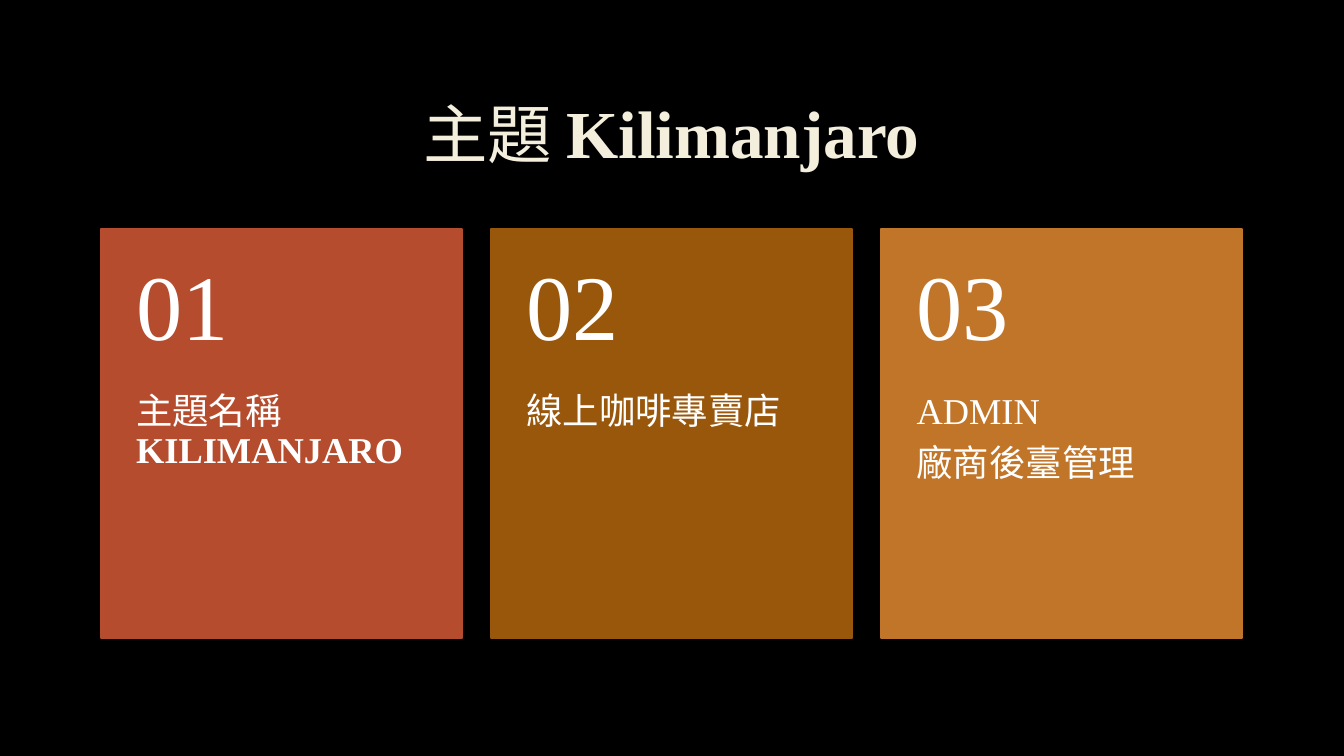
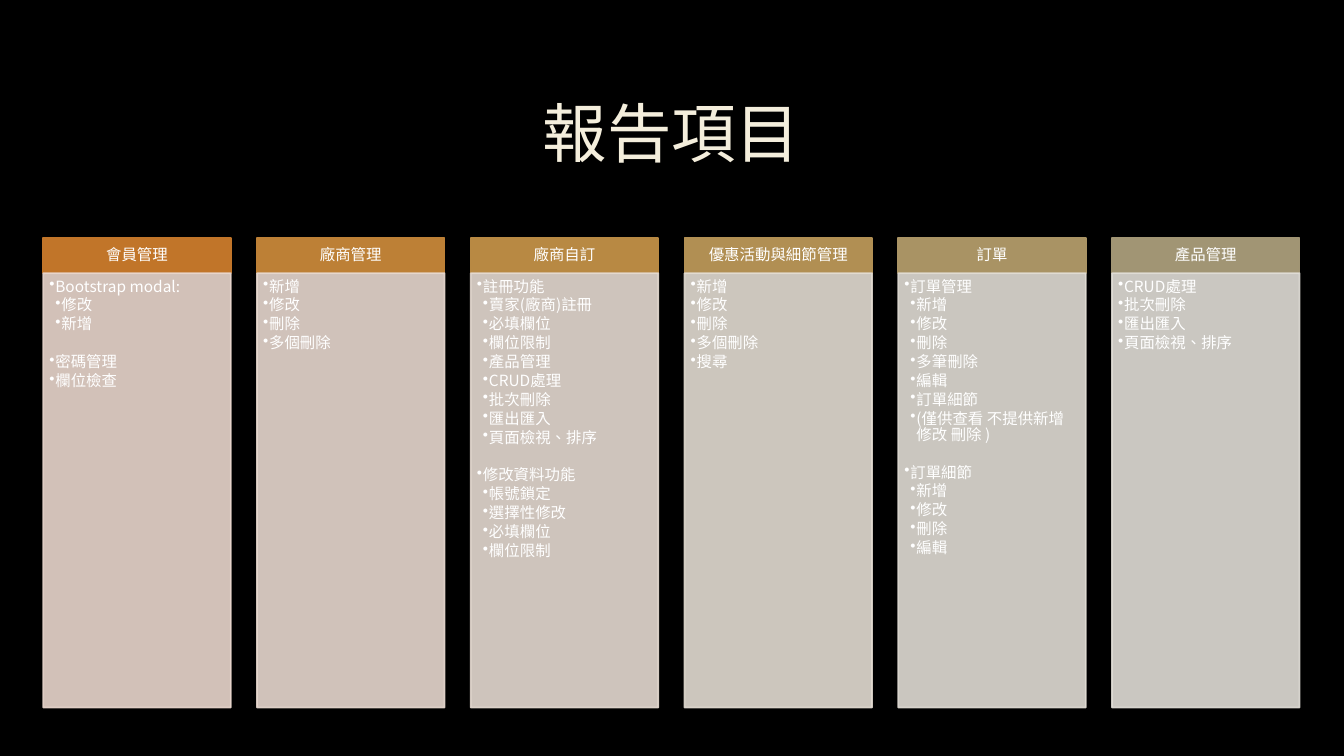
from dataclasses import dataclass

from lxml import etree
from pptx import Presentation
from pptx import util as u
from pptx.dml.color import RGBColor
from pptx.enum import lang, shapes, text
from pptx.oxml import ns


@dataclass(frozen=True)
class Theme:
    background: str = "000000"
    title: str = "F4EEDC"
    body: str = "FFFFFF"
    serif: str = "Times New Roman"
    sans: str = "Noto Sans CJK SC"
    title_size: float = 46
    title_latin_size: float = 48
    number_size: float = 66
    card_size: float = 26
    item_size: float = 11
    item_line: float = 11.4
    item_gap: float = 2.1
    group_gap: float = 15.6
    border: float = 1.25


@dataclass(frozen=True)
class Span:
    text: str
    size: float
    font: str
    color: str
    bold: bool = False


@dataclass(frozen=True)
class Card:
    color: str
    lines: tuple[tuple[Span, ...], ...]


@dataclass(frozen=True)
class Group:
    """Top-level items; each heading may carry nested items."""
    heading: str
    children: tuple[str, ...] = ()
    gap_after: bool = False


@dataclass(frozen=True)
class Column:
    heading: str
    color: str
    tint: str
    groups: tuple[Group, ...]


THEME = Theme()


# Shared text and shape helpers
def title_span(words: str, size: float = THEME.title_size, bold: bool = False) -> Span:
    return Span(words, size, THEME.serif, THEME.title, bold)


def card_span(words: str, size: float = THEME.card_size, bold: bool = False) -> Span:
    return Span(words, size, THEME.serif, THEME.body, bold)


def item_span(words: str) -> Span:
    return Span(words, THEME.item_size, THEME.sans, THEME.body)


def set_frame(box, insets: tuple[float, ...], anchor=text.MSO_ANCHOR.TOP):
    frame = box.text_frame
    frame.word_wrap = True
    frame.vertical_anchor = anchor
    (frame.margin_left, frame.margin_top,
     frame.margin_right, frame.margin_bottom) = map(u.Inches, insets)
    return frame


def add_paragraph(frame, spans: tuple[Span, ...], align=text.PP_ALIGN.LEFT,
                  first: bool = True, after: float = 0, line=0.9):
    para = frame.paragraphs[0] if first else frame.add_paragraph()
    para.alignment = align
    para.line_spacing = line
    para.space_after = u.Pt(after)
    for span in spans:
        run = para.add_run()
        run.text = span.text
        run.font.size = u.Pt(span.size)
        run.font.name = span.font
        run.font.bold = span.bold
        run.font.color.rgb = RGBColor.from_string(span.color)
        run.font.language_id = lang.MSO_LANGUAGE_ID.TRADITIONAL_CHINESE
    return para


def add_text_box(page, left: float, top: float, width: float, height: float):
    return page.shapes.add_textbox(*map(u.Inches, (left, top, width, height)))


def add_panel(page, left: float, top: float, width: float, height: float,
              color: str, opacity: int = 100):
    panel = page.shapes.add_shape(
        shapes.MSO_SHAPE.RECTANGLE, *map(u.Inches, (left, top, width, height)))
    panel.shadow.inherit = False
    panel.line.width = u.Pt(THEME.border)
    for fill in (panel.fill, panel.line.fill):
        fill.solid()
        fill.fore_color.rgb = RGBColor.from_string(color)
    if opacity < 100:
        for tone in panel._element.spPr.iter(ns.qn("a:srgbClr")):
            etree.SubElement(tone, ns.qn("a:alpha"), val=str(opacity * 1000))
    return panel


def add_bullet(para, level: int) -> None:
    para.level = level
    props = para._p.get_or_add_pPr()
    props.set("marL", str(u.Inches(0.06 * level)))
    props.set("indent", str(u.Inches(-0.06)))
    etree.SubElement(props, ns.qn("a:buChar"), char="•")


def add_page(deck, *title: Span):
    page = deck.slides.add_slide(deck.slide_layouts[6])
    frame = set_frame(add_text_box(page, 1, 0.67, 11.32, 1.38),
                      (0.1, 0.05, 0.1, 0.05), text.MSO_ANCHOR.MIDDLE)
    add_paragraph(frame, title, text.PP_ALIGN.CENTER)
    return page


# Numbered topic cards
CARDS = (
    Card("B54C2D", ((card_span("主題名稱 "), card_span("KILIMANJARO", bold=True)),)),
    Card("99570C", ((card_span("線上咖啡專賣店"),),)),
    Card("C17529", ((card_span("ADMIN"),), (card_span("廠商後臺管理"),))),
)


def draw_cards(page) -> None:
    top, width, height, pitch, number_height = 2.27, 3.58, 4.06, 3.87, 1.62
    for index, card in enumerate(CARDS):
        left = 1 + index * pitch
        add_panel(page, left, top, width, height, card.color)
        number = add_text_box(page, left, top, width, number_height)
        frame = set_frame(number, (0.35, 0.18, 0.35, 0.18), text.MSO_ANCHOR.MIDDLE)
        add_paragraph(frame, (card_span(f"{index + 1:02}", THEME.number_size),))
        label = add_text_box(page, left, top + number_height + 0.01, width,
                             height - number_height)
        frame = set_frame(label, (0.35, 0, 0.35, 0.36))
        for row, spans in enumerate(card.lines):
            add_paragraph(frame, spans, first=row == 0, after=9)


# Report columns
COLUMNS = (
    Column("會員管理", "C17529", "E9D6CD", (
        Group("Bootstrap modal:", ("修改", "新增"), gap_after=True),
        Group("密碼管理"), Group("欄位檢查"))),
    Column("廠商管理", "BD8036", "E7D8CF", (
        Group("新增"), Group("修改"), Group("刪除"), Group("多個刪除"))),
    Column("廠商自訂", "B88943", "E5DAD1", (
        Group("註冊功能", ("賣家(廠商)註冊", "必填欄位", "欄位限制", "產品管理",
                       "CRUD處理", "批次刪除", "匯出匯入", "頁面檢視、排序"),
              gap_after=True),
        Group("修改資料功能", ("帳號鎖定", "選擇性修改", "必填欄位", "欄位限制")))),
    Column("優惠活動與細節管理", "B18F53", "E3DCD2", (
        Group("新增"), Group("修改"), Group("刪除"), Group("多個刪除"),
        Group("搜尋"))),
    Column("訂單", "A99364", "E1DCD4", (
        Group("訂單管理", ("新增", "修改", "刪除", "多筆刪除", "編輯", "訂單細節",
                       "(僅供查看 不提供新增 修改 刪除 )"), gap_after=True),
        Group("訂單細節", ("新增", "修改", "刪除", "編輯")))),
    Column("產品管理", "A19574", "E0DDD6", (
        Group("CRUD處理"), Group("批次刪除"), Group("匯出匯入"),
        Group("頁面檢視、排序"))),
)


def draw_items(frame, groups: tuple[Group, ...]) -> None:
    first = True
    for group in groups:
        items = (group.heading, *group.children)
        for row, item in enumerate(items):
            ends_block = group.gap_after and row == len(items) - 1
            para = add_paragraph(
                frame, (item_span(item),), first=first,
                after=THEME.group_gap if ends_block else THEME.item_gap,
                line=u.Pt(THEME.item_line))
            add_bullet(para, 1 if row == 0 else 2)
            first = False


def draw_columns(page) -> None:
    top, width, pitch, head_height, body_height = 2.36, 1.86, 2.12, 0.35, 4.31
    for index, column in enumerate(COLUMNS):
        left = 0.43 + index * pitch
        head = add_panel(page, left, top, width, head_height, column.color)
        frame = set_frame(head, (0.09, 0.05, 0.09, 0.05), text.MSO_ANCHOR.MIDDLE)
        add_paragraph(frame, (item_span(column.heading),), text.PP_ALIGN.CENTER)
        body = add_panel(page, left, top + head_height, width, body_height,
                         column.tint, opacity=90)
        draw_items(set_frame(body, (0.06, 0.06, 0.09, 0.1)), column.groups)


def main() -> None:
    deck = Presentation()
    deck.slide_width, deck.slide_height = u.Inches(13.33), u.Inches(7.5)
    backdrop = deck.slide_master.background.fill
    backdrop.solid()
    backdrop.fore_color.rgb = RGBColor.from_string(THEME.background)

    draw_cards(add_page(deck, title_span("主題 "),
                        title_span("Kilimanjaro", THEME.title_latin_size, bold=True)))
    draw_columns(add_page(deck, title_span("報告項目")))
    deck.save("out.pptx")


if __name__ == "__main__":
    main()
